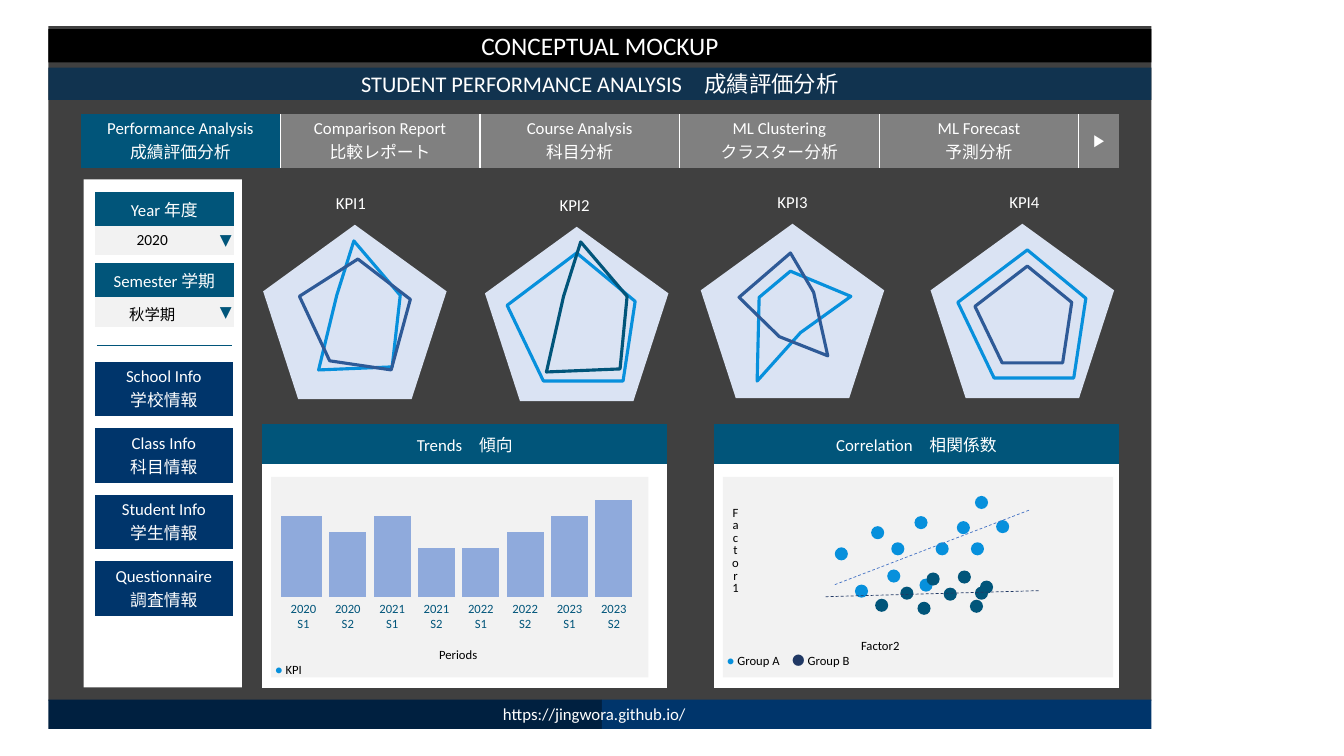
from pptx import Presentation
from pptx.dml.color import RGBColor
from pptx.enum.dml import MSO_LINE
from pptx.enum.shapes import MSO_CONNECTOR, MSO_SHAPE
from pptx.enum.text import MSO_ANCHOR, PP_ALIGN
from pptx.oxml import parse_xml
from pptx.oxml.ns import nsdecls, qn
from pptx.util import Inches, Pt

RECTANGLE, PENTAGON, OVAL = MSO_SHAPE.RECTANGLE, MSO_SHAPE.REGULAR_PENTAGON, MSO_SHAPE.OVAL
STRAIGHT, DASH = MSO_CONNECTOR.STRAIGHT, MSO_LINE.DASH
CENTER, LEFT = PP_ALIGN.CENTER, PP_ALIGN.LEFT
TOP, MIDDLE = MSO_ANCHOR.TOP, MSO_ANCHOR.MIDDLE

FONT = "Calibri"
PLAIN_TABLE = "{2D5ABB26-0587-4C30-8999-92F81FD0307C}"
WHITE = RGBColor(0xFF, 0xFF, 0xFF)
BLACK = RGBColor(0, 0, 0)
CHARCOAL = RGBColor(0x40, 0x40, 0x40)
GRAY = RGBColor(0x80, 0x80, 0x80)
PALE = RGBColor(0xF2, 0xF2, 0xF2)
STEEL = RGBColor(0x11, 0x33, 0x4F)
MIDNIGHT = RGBColor(0x00, 0x20, 0x40)
NAVY = RGBColor(0x00, 0x35, 0x6B)
INDIGO = RGBColor(0x20, 0x38, 0x64)
TEAL = RGBColor(0x01, 0x55, 0x7A)
SKY = RGBColor(0x07, 0x90, 0xDC)
DENIM = RGBColor(0x2E, 0x5A, 0x97)
BLUE = RGBColor(0x44, 0x72, 0xC4)
ICE = RGBColor(0xDA, 0xE3, 0xF3)
BAR = RGBColor(0x8F, 0xAA, 0xDC)


def write_text(frame, *lines, size=12, color=WHITE, align=CENTER, spacing=None):
    """Each line is a string or a list of (text, color) runs."""
    for index, line in enumerate(lines):
        paragraph = frame.add_paragraph() if index else frame.paragraphs[0]
        paragraph.alignment = align
        if spacing:
            paragraph.line_spacing = Pt(spacing)
        for text, run_color in [(line, color)] if isinstance(line, str) else line:
            run = paragraph.add_run()
            run.text = text
            run.font.name = FONT
            run.font.size = Pt(size)
            run.font.color.rgb = run_color


def add_filled(slide, kind, left, top, width, height, color):
    shape = slide.shapes.add_shape(kind, Inches(left), Inches(top), Inches(width), Inches(height))
    shape.shadow.inherit = False
    shape.fill.solid()
    shape.fill.fore_color.rgb = color
    shape.line.fill.background()
    return shape


def add_label(slide, left, top, width, height, *lines, anchor=TOP, **style):
    box = slide.shapes.add_textbox(Inches(left), Inches(top), Inches(width), Inches(height))
    frame = box.text_frame
    frame.word_wrap = True
    frame.vertical_anchor = anchor
    frame.margin_left = frame.margin_right = frame.margin_top = frame.margin_bottom = 0
    write_text(frame, *lines, **style)
    return frame


def add_line(slide, start, end, color, width, dash=None):
    line = slide.shapes.add_connector(STRAIGHT, *map(Inches, (*start, *end)))
    line.line.color.rgb = color
    line.line.width = Pt(width)
    if dash:
        line.line.dash_style = dash
    line._element.spPr.append(parse_xml(f"<a:effectLst {nsdecls('a')}/>"))


def add_plain_table(slide, left, top, widths, heights):
    frame = slide.shapes.add_table(len(heights), len(widths), Inches(left), Inches(top),
                                   Inches(sum(widths)), Inches(sum(heights)))
    table = frame.table
    table.first_row = table.horz_banding = False
    table._tbl.tblPr.find(qn("a:tableStyleId")).text = PLAIN_TABLE
    for column, width in zip(table.columns, widths):
        column.width = Inches(width)
    for row, height in zip(table.rows, heights):
        row.height = Inches(height)
    return table


def fill_cell(cell, background, *lines, anchor=TOP, **style):
    cell.fill.solid()
    cell.fill.fore_color.rgb = background
    cell.vertical_anchor = anchor
    write_text(cell.text_frame, *lines, **style)


def add_borders(cell, sides, color, width):
    for index, side in enumerate(sides):
        border = parse_xml(f'<a:ln{side} {nsdecls("a")} w="{int(Pt(width))}"><a:solidFill>'
                           f'<a:srgbClr val="{color}"/></a:solidFill></a:ln{side}>')
        cell._tc.get_or_add_tcPr().insert(index, border)


def add_frame(slide, left, top, width, height):
    """Backdrop with title bars and footer."""
    add_filled(slide, RECTANGLE, left, top, width, height, CHARCOAL)
    for offset, bar_height, color, size, title in (
            (0.03, 0.33, BLACK, 18, "CONCEPTUAL MOCKUP"),
            (0.41, 0.32, STEEL, 16, "STUDENT PERFORMANCE ANALYSIS　成績評価分析")):
        bar = add_filled(slide, RECTANGLE, left, top + offset, width, bar_height, color)
        bar.text_frame.vertical_anchor = MIDDLE
        write_text(bar.text_frame, title, size=size)
    bottom = top + height - 0.01
    add_filled(slide, RECTANGLE, left, bottom, 5.49, 0.29, MIDNIGHT)
    add_filled(slide, RECTANGLE, left + 5.49, bottom, width - 5.49, 0.29, NAVY)
    add_label(slide, left + 3.67, bottom + 0.05, 3.49, 0.18,
              "https://jingwora.github.io/", anchor=MIDDLE)


def add_tabs(slide, left, top):
    tabs = (("Performance Analysis", "成績評価分析"), ("Comparison Report", "比較レポート"),
            ("Course Analysis", "科目分析"), ("ML Clustering", "クラスター分析"),
            ("ML Forecast", "予測分析"), ("▶",))
    table = add_plain_table(slide, left, top, [1.98] * 5 + [0.4], [0.54])
    for index, lines in enumerate(tabs):
        cell = table.cell(0, index)
        fill_cell(cell, GRAY if index else TEAL, *lines, anchor=MIDDLE)
        sides = ("L" if index else "") + ("R" if index < len(tabs) - 1 else "")
        add_borders(cell, sides, WHITE, 1)


def add_sidebar(slide, left, top, width, height):
    add_filled(slide, RECTANGLE, left, top, width, height, WHITE)
    inner = left + 0.11
    # Filters
    for index, (name, value) in enumerate((("Year 年度", "2020"), ("Semester 学期", "秋学期"))):
        table = add_plain_table(slide, inner, top + 0.12 + 0.71 * index, [1.14, 0.23], [0.34, 0.29])
        table.cell(0, 0).merge(table.cell(0, 1))
        fill_cell(table.cell(0, 0), TEAL, name)
        fill_cell(table.cell(1, 0), PALE, value, size=11, color=BLACK)
        fill_cell(table.cell(1, 1), PALE, "▼", size=11, color=TEAL, align=LEFT)
    add_line(slide, (left + 0.13, top + 1.65), (left + 1.47, top + 1.65), TEAL, 1)
    # Buttons
    buttons = (("School Info", "学校情報"), ("Class Info", "科目情報"),
               ("Student Info", "学生情報"), ("Questionnaire", "調査情報"))
    for index, lines in enumerate(buttons):
        table = add_plain_table(slide, inner, top + 1.81 + 0.66 * index, [1.37], [0.54])
        fill_cell(table.cell(0, 0), NAVY, *lines)


def add_radar(slide, left, top, title, title_offset, *outlines):
    add_filled(slide, PENTAGON, left, top, 1.82, 1.73, ICE)
    add_label(slide, left + title_offset, top - 0.4, 0.98, 0.36, title, anchor=MIDDLE)
    for color, points in outlines:
        corners = [(Inches(left + x), Inches(top + y)) for x, y in points]
        builder = slide.shapes.build_freeform(*corners[0])
        builder.add_line_segments(corners[1:], close=True)
        outline = builder.convert_to_shape()
        outline.shadow.inherit = False
        outline.fill.background()
        outline.line.color.rgb = color
        outline.line.width = Pt(2.25)


def add_panel(slide, left, top, title, plot_width):
    table = add_plain_table(slide, left, top, [4.02], [0.39, 2.23])
    fill_cell(table.cell(0, 0), TEAL, title, anchor=MIDDLE)
    fill_cell(table.cell(1, 0), WHITE)
    add_filled(slide, RECTANGLE, left + 0.09, top + 0.52, plot_width, 1.99, PALE)


def add_trends(slide, left, top):
    add_panel(slide, left, top, "Trends　傾向", 3.74)
    add_label(slide, left + 0.13, top + 2.21, 3.63, 0.39, "Periods", [("● ", SKY), ("KPI", BLACK)],
              size=9, color=BLACK).paragraphs[1].alignment = LEFT
    # Bars made of shaded cells, bar height counted in rows
    bar_rows = (5, 4, 5, 3, 3, 4, 5, 6)
    table = add_plain_table(slide, left + 0.19, top + 0.59, [0.44] * 8, [0.16] * 7 + [0.37])
    for column, bar_height in enumerate(bar_rows):
        for row in range(8):
            cell = table.cell(row, column)
            cell.margin_left = cell.margin_right = 0
            if row == 7:
                period = (str(2020 + column // 2), f"S{column % 2 + 1}")
                fill_cell(cell, PALE, *period, anchor=MIDDLE, size=9, color=TEAL)
            else:
                cell.margin_top = cell.margin_bottom = 0
                fill_cell(cell, BAR if row >= 7 - bar_height else PALE)
                end = parse_xml(f'<a:endParaRPr {nsdecls("a")} sz="400"/>')
                cell.text_frame.paragraphs[0]._p.append(end)
            add_borders(cell, "LR" if column else "R", PALE, 6)


def add_correlation(slide, left, top):
    add_panel(slide, left, top, "Correlation　相関係数", 3.87)
    plot_left, plot_top = left + 0.09, top + 0.52
    group_a = ((1.47, 0.49), (1.67, 0.65), (1.63, 0.92), (2.11, 0.65), (1.95, 1.01), (1.11, 0.7),
               (2.46, 0.65), (1.9, 0.39), (1.31, 1.07), (2.32, 0.44), (2.5, 0.19), (2.71, 0.43))
    group_b = ((2.33, 0.93), (2.19, 1.1), (1.76, 1.09), (2.55, 1.03), (2.02, 0.95),
               (1.51, 1.21), (1.93, 1.24), (2.45, 1.22), (2.5, 1.09))
    for color, dots in ((SKY, group_a), (TEAL, group_b)):
        for x, y in dots:
            add_filled(slide, OVAL, plot_left + x, plot_top + y, 0.13, 0.13, color)
    # Trend lines
    for color, (x1, y1), (x2, y2) in ((BLUE, (1.11, 1.07), (3.04, 0.33)),
                                      (INDIGO, (1.02, 1.19), (3.13, 1.13))):
        add_line(slide, (plot_left + x1, plot_top + y1), (plot_left + x2, plot_top + y2),
                 color, 0.5, DASH)
    # Axis names and legend
    add_label(slide, plot_left + 0.03, plot_top + 0.3, 0.19, 1.09, *"Factor1",
              size=9, color=BLACK, spacing=9)
    legend = [("● ", SKY), ("Group A　", BLACK), ("● ", INDIGO), ("Group B", BLACK)]
    frame = add_label(slide, plot_left + 0.04, plot_top + 1.6, 2.98, 0.47, "Factor2", legend,
                      size=9, color=BLACK, align=LEFT)
    frame.paragraphs[0]._p.get_or_add_pPr().set("marL", str(int(Inches(1.33))))


def main():
    presentation = Presentation()
    presentation.slide_width, presentation.slide_height = Inches(13.33), Inches(7.5)
    slide = presentation.slides.add_slide(presentation.slide_layouts[6])
    add_frame(slide, 0.48, 0.26, 10.94, 6.69)
    add_tabs(slide, 0.8, 1.13)
    add_sidebar(slide, 0.83, 1.78, 1.57, 5.04)
    add_radar(slide, 2.61, 2.23, "KPI1", 0.38,
              (SKY, ((0.73, 0.7), (0.9, 0.16), (1.36, 0.7), (1.28, 1.41), (0.55, 1.44))),
              (DENIM, ((0.94, 0.34), (1.46, 0.74), (1.27, 1.44), (0.66, 1.35), (0.36, 0.71))))
    add_radar(slide, 4.81, 2.25, "KPI2", 0.4,
              (SKY, ((0.91, 0.26), (1.49, 0.74), (1.37, 1.53), (0.58, 1.53), (0.22, 0.78))),
              (TEAL, ((0.78, 0.69), (0.95, 0.15), (1.41, 0.69), (1.34, 1.41), (0.61, 1.44))))
    add_radar(slide, 6.95, 2.22, "KPI3", 0.42,
              (SKY, ((0.89, 0.47), (0.58, 0.73), (0.56, 1.56), (0.99, 1.08), (1.49, 0.72))),
              (DENIM, ((0.89, 0.29), (0.38, 0.73), (0.78, 1.12), (1.26, 1.31), (1.12, 0.68))))
    add_radar(slide, 9.23, 2.22, "KPI4", 0.44,
              (SKY, ((0.96, 0.26), (1.54, 0.74), (1.42, 1.53), (0.63, 1.53), (0.27, 0.78))),
              (DENIM, ((0.96, 0.42), (1.4, 0.78), (1.31, 1.38), (0.71, 1.38), (0.44, 0.82))))
    add_trends(slide, 2.6, 4.21)
    add_correlation(slide, 7.08, 4.21)
    presentation.save("out.pptx")


if __name__ == "__main__":
    main()
